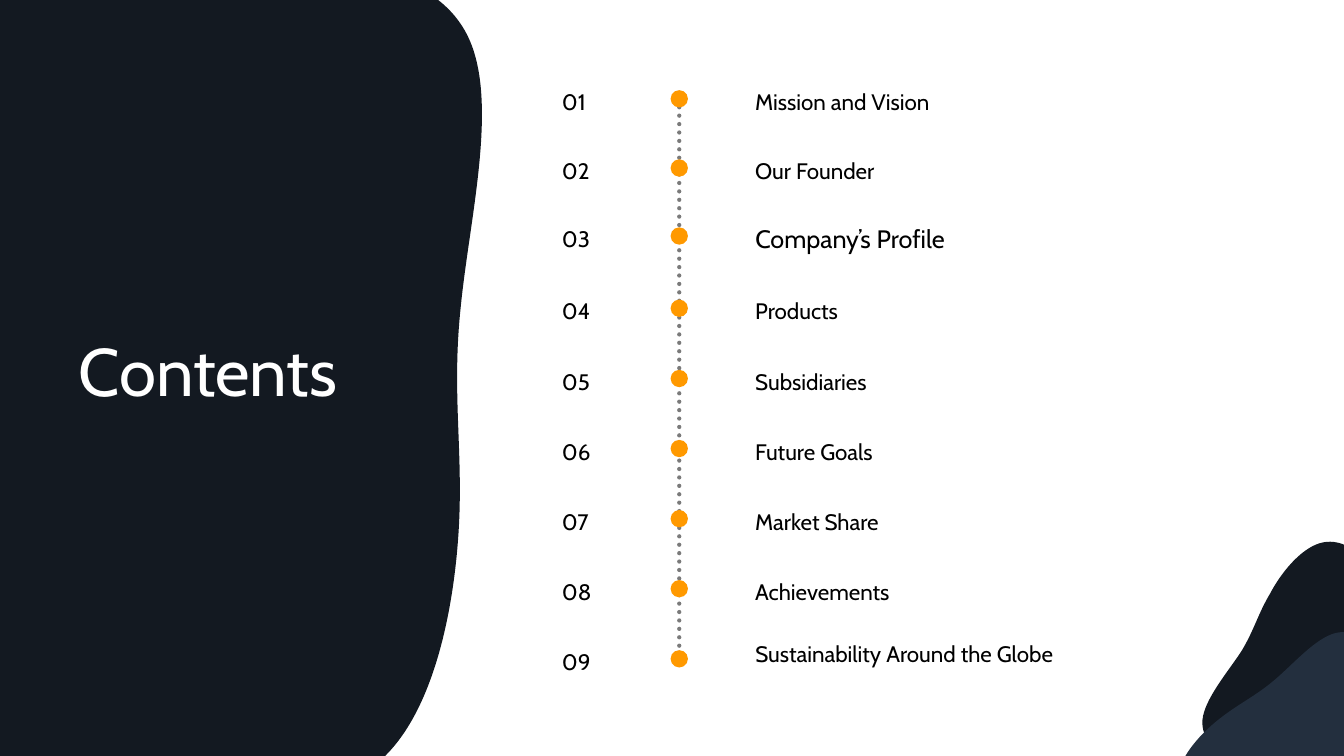
from lxml import etree
from pptx import Presentation
from pptx.dml.color import RGBColor
from pptx.enum.dml import MSO_LINE
from pptx.enum.shapes import MSO_CONNECTOR, MSO_SHAPE
from pptx.enum.text import MSO_ANCHOR, MSO_AUTO_SIZE, PP_ALIGN
from pptx.oxml.ns import qn
from pptx.util import Pt

STRAIGHT = MSO_CONNECTOR.STRAIGHT
OVAL = MSO_SHAPE.OVAL
ROUND_DOT = MSO_LINE.ROUND_DOT
TOP = MSO_ANCHOR.TOP
LEFT = PP_ALIGN.LEFT
FIT_SHAPE = MSO_AUTO_SIZE.SHAPE_TO_FIT_TEXT

NAVY = RGBColor(0x13, 0x19, 0x21)
SLATE = RGBColor(0x23, 0x2F, 0x3E)
ORANGE = RGBColor(0xFF, 0x99, 0x00)
GREY = RGBColor(0x59, 0x59, 0x59)
BLACK = RGBColor(0, 0, 0)
WHITE = RGBColor(0xFF, 0xFF, 0xFF)

FONT = "Cabin"
NUMBER_LEFT, LABEL_LEFT = 394.2, 532.4
DOT_LEFT, DOT_DROP, DOT_SIZE = 479, 10.8, 12.4
OUTLINE_UNIT = 0.72  # outline coordinates are hundredths of an inch

# (top, label, label formatting that differs from the rest)
ENTRIES = [
    (53.6, "Mission and Vision", {}),
    (103, "Our Founder", {}),
    (151.6, "Company’s Profile", {"nudge": 4.2, "width": 176.4, "size": 18, "spacing": 1}),
    (203.2, "Products", {}),
    (253.4, "Subsidiaries", {}),
    (303.4, "Future Goals", {}),
    (353.5, "Market Share", {}),
    (403.5, "Achievements", {}),
    (453.6, "Sustainability Around the Globe", {"width": 252.7, "spacing": 1}),
]

# Each outline starts at a point; six numbers make a curve, two a straight line
PANEL = [
    (291, -35), (367, -37, 444, -19, 468, 45), (493, 111, 465, 222, 457, 306),
    (448, 391, 460, 449, 455, 528), (450, 607, 430, 705, 380, 752),
    (337, 793, 272, 794, 213, 768), (196, 759), (196, 769), (0, 769),
    (0, -15), (181, -15), (182, -15), (216, -29, 253, -35, 291, -35),
]
BACK_HILL = [
    (1193, 714), (1195, 694, 1217, 668, 1231, 647),
    (1244, 626, 1248, 609, 1260, 589), (1271, 568, 1290, 545, 1309, 539),
    (1328, 533, 1348, 545, 1360, 563), (1372, 582, 1376, 607, 1373, 633),
    (1370, 658, 1360, 683, 1346, 707), (1331, 731, 1313, 753, 1293, 763),
    (1272, 772, 1250, 768, 1230, 759), (1209, 749, 1191, 734, 1193, 714),
]
FRONT_HILL = [
    (1325, 628), (1305, 633, 1283, 659, 1264, 675),
    (1245, 691, 1229, 698, 1210, 713), (1192, 727, 1172, 749, 1169, 768),
    (1166, 788, 1180, 806, 1200, 815), (1220, 824, 1246, 825, 1271, 818),
    (1295, 811, 1319, 798, 1340, 780), (1362, 762, 1381, 741, 1387, 719),
    (1394, 698, 1386, 676, 1374, 657), (1362, 639, 1345, 623, 1325, 628),
]


def set_fill(sp, color):
    sp.fill.solid()
    sp.fill.fore_color.rgb = color
    sp.line.fill.background()
    sp.shadow.inherit = False


def add_blob(slide, outline, color):
    """Draw every curve as three line segments, then merge each three into a Bézier."""
    points = [(Pt(x * OUTLINE_UNIT), Pt(y * OUTLINE_UNIT))
              for part in outline for x, y in zip(part[::2], part[1::2])]
    builder = slide.shapes.build_freeform(*points[0])
    builder.add_line_segments(points[1:], close=True)
    sp = builder.convert_to_shape()
    segments = iter(list(sp.element.iter(qn("a:lnTo"))))
    for part in outline[1:]:
        first = next(segments)
        if len(part) == 6:
            curve = etree.Element(qn("a:cubicBezTo"))
            first.addprevious(curve)
            for segment in (first, next(segments), next(segments)):
                curve.append(segment[0])
                segment.getparent().remove(segment)
    set_fill(sp, color)
    return sp


def set_font(p, size, color):
    p.font.name = FONT
    p.font.size = Pt(size)
    p.font.color.rgb = color


def add_title(slide, text):
    title = slide.shapes.title
    title.left, title.top, title.width, title.height = Pt(49), Pt(231.8), Pt(212.4), Pt(65.5)
    tf = title.text_frame
    tf.text = text
    tf.word_wrap = False
    tf.auto_size = FIT_SHAPE
    tf.vertical_anchor = TOP
    p = tf.paragraphs[0]
    p.alignment = LEFT
    set_font(p, 48, WHITE)
    return title


def add_text(slide, text, left, top, width=185, nudge=0, size=16, spacing=1.3):
    box = slide.shapes.add_textbox(Pt(left), Pt(top + nudge), Pt(width), Pt(30))
    tf = box.text_frame
    tf.text = text
    tf.word_wrap = True
    tf.auto_size = FIT_SHAPE
    p = tf.paragraphs[0]
    p.line_spacing = spacing
    set_font(p, size, BLACK)


def add_dotted_line(shapes, x, top, bottom):
    line = shapes.add_connector(STRAIGHT, Pt(x), Pt(top), Pt(x), Pt(bottom))
    line.line.color.rgb = GREY
    line.line.width = Pt(3)
    line.line.dash_style = ROUND_DOT
    ln = line.get_or_add_ln()
    ln.set("cap", "rnd")
    color = next(ln.iter(qn("a:srgbClr")))
    etree.SubElement(color, qn("a:alpha")).set("val", "80000")
    etree.SubElement(ln.getparent(), qn("a:effectLst"))


def add_timeline(slide, tops):
    shapes = slide.shapes.add_group_shape().shapes
    centre = DOT_DROP + DOT_SIZE / 2
    add_dotted_line(shapes, DOT_LEFT + DOT_SIZE / 2, tops[0] + centre, tops[-1] + centre)
    for top in tops:
        dot = shapes.add_shape(OVAL, Pt(DOT_LEFT), Pt(top + DOT_DROP), Pt(DOT_SIZE), Pt(DOT_SIZE))
        set_fill(dot, ORANGE)


def main():
    prs = Presentation()
    prs.slide_width, prs.slide_height = Pt(960), Pt(540)
    slide = prs.slides.add_slide(prs.slide_layouts[5])

    panel = add_blob(slide, PANEL, NAVY)
    title = add_title(slide, "Contents")
    title.element.addprevious(panel.element)

    add_timeline(slide, [top for top, _, _ in ENTRIES])
    for number, (top, label, formatting) in enumerate(ENTRIES, start=1):
        add_text(slide, f"{number:02}", NUMBER_LEFT, top, width=58.3)
        add_text(slide, label, LABEL_LEFT, top, **formatting)

    add_blob(slide, BACK_HILL, NAVY)
    add_blob(slide, FRONT_HILL, SLATE)
    prs.save("out.pptx")


if __name__ == "__main__":
    main()
